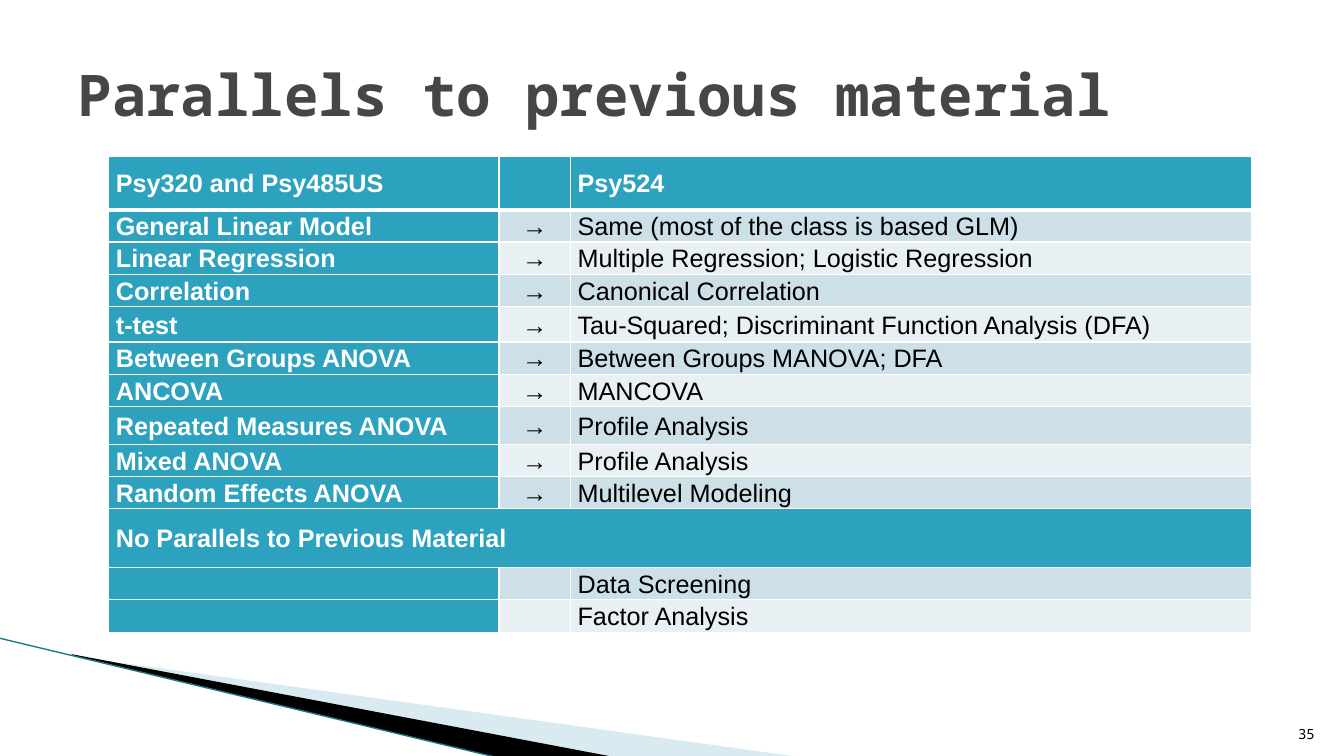
"""Build the slide that maps earlier course topics to Psy524 topics."""
from lxml.etree import SubElement
from pptx import Presentation
from pptx.dml.color import RGBColor as RGB
from pptx.enum.shapes import MSO_CONNECTOR as LINE
from pptx.enum.text import MSO_ANCHOR as ANCHOR, PP_ALIGN as ALIGN
from pptx.oxml.ns import qn
from pptx.util import Pt

PX = 9144
WHITE = RGB(0xFF, 0xFF, 0xFF)
BLACK = RGB(0, 0, 0)
GREY = RGB(0x46, 0x46, 0x46)
TEAL = RGB(0x2D, 0xA2, 0xBF)
DEEP = RGB(0x1F, 0x74, 0x85)
MIST = RGB(0xA0, 0xCB, 0xDC)
BANDS = [RGB(0xE8, 0xF0, 0xF4), RGB(0xCD, 0xE0, 0xE8)]
SANS = "Arial"
MONO = "Noto Sans Mono"


def style(para, face, size, color, bold=False):
    for run in para.runs:
        run.font.name = face
        run.font.size = Pt(size)
        run.font.bold = bold
        run.font.color.rgb = color


def edge(cell, side, width):
    line = SubElement(cell._tc.get_or_add_tcPr(), qn("a:" + side), w=str(Pt(width)))
    fill = SubElement(line, qn("a:solidFill"))
    SubElement(fill, qn("a:srgbClr"), val=str(WHITE))


deck = Presentation()
deck.slide_width, deck.slide_height = 1333 * PX, 750 * PX
slide = deck.slides.add_slide(deck.slide_layouts[5])
shapes = slide.shapes

wedges = [
    (MIST, [(73, 651), (793, 751), (608, 751), (73, 650)]),
    (BLACK, [(71, 649), (609, 751), (496, 752), (72, 650)]),
]
for color, points in wedges:
    path = shapes.build_freeform(*points[0], scale=PX)
    path.add_line_segments(points[1:], close=True)
    wedge = path.convert_to_shape()
    wedge.shadow.inherit = False
    wedge.fill.solid()
    wedge.fill.fore_color.rgb = color
    wedge.line.fill.background()
    if color == MIST:
        tint = wedge._element.spPr.find(".//" + qn("a:srgbClr"))
        SubElement(tint, qn("a:alpha"), val="40000")

rule = shapes.add_connector(LINE.STRAIGHT, -1 * PX, 633 * PX, 495 * PX, 752 * PX)
rule.line.color.rgb = DEEP
rule.line.width = Pt(0.95)
SubElement(rule._element.spPr, qn("a:effectLst"))

title = shapes.title
title.left, title.top, title.width, title.height = 67 * PX, 30 * PX, 1200 * PX, 125 * PX
title.text_frame.text = "Parallels to previous material"
title.text_frame.vertical_anchor = ANCHOR.MIDDLE
head = title.text_frame.paragraphs[0]
head.alignment = ALIGN.LEFT
style(head, MONO, 41, GREY, True)

page = shapes.add_textbox(1261 * PX, 701 * PX, 53 * PX, 40 * PX).text_frame
page.word_wrap = True
page.vertical_anchor = ANCHOR.BOTTOM
page.text = "35"
page.paragraphs[0].alignment = ALIGN.RIGHT
style(page.paragraphs[0], MONO, 10, BLACK)

rows = [
    (53, "Psy320 and Psy485US", "", "Psy524"),
    (30, "General Linear Model", "→", "Same (most of the class is based GLM)"),
    (30, "Linear Regression", "→", "Multiple Regression; Logistic Regression"),
    (30, "Correlation", "→", "Canonical Correlation"),
    (35, "t-test", "→", "Tau-Squared; Discriminant Function Analysis (DFA)"),
    (30, "Between Groups ANOVA", "→", "Between Groups MANOVA; DFA"),
    (30, "ANCOVA", "→", "MANCOVA"),
    (37, "Repeated Measures ANOVA", "→", "Profile Analysis"),
    (30, "Mixed ANOVA", "→", "Profile Analysis"),
    (30, "Random Effects ANOVA", "→", "Multilevel Modeling"),
    (58, "No Parallels to Previous Material", "", ""),
    (30, "", "", "Data Screening"),
    (30, "", "", "Factor Analysis"),
]
widths = [387, 71, 675]
banner = 10
tall = sum(row[0] for row in rows)
grid = shapes.add_table(
    len(rows), 3, 108 * PX, 155 * PX, sum(widths) * PX, tall * PX
).table
for col, width in zip(grid.columns, widths):
    col.width = width * PX

for r, (high, *texts) in enumerate(rows):
    grid.rows[r].height = high * PX
    for c, text in enumerate(texts):
        cell = grid.cell(r, c)
        strong = c == 0 or r in (0, banner)
        edge(cell, "lnL", 1)
        edge(cell, "lnR", 1)
        edge(cell, "lnT", 3 if r == 1 else 1)
        edge(cell, "lnB", 3 if r == 0 else 1)
        cell.fill.solid()
        cell.fill.fore_color.rgb = TEAL if strong else BANDS[r % 2]
        cell.margin_left = cell.margin_right = 7 * PX
        cell.margin_top = cell.margin_bottom = 0
        cell.vertical_anchor = ANCHOR.MIDDLE
        if text:
            cell.text_frame.text = text
            para = cell.text_frame.paragraphs[0]
            para.line_spacing = 1.07
            para.alignment = ALIGN.CENTER if c == 1 else ALIGN.LEFT
            style(para, SANS, 18, WHITE if strong else BLACK, strong)
grid.cell(banner, 0).merge(grid.cell(banner, 2))

deck.save("out.pptx")
